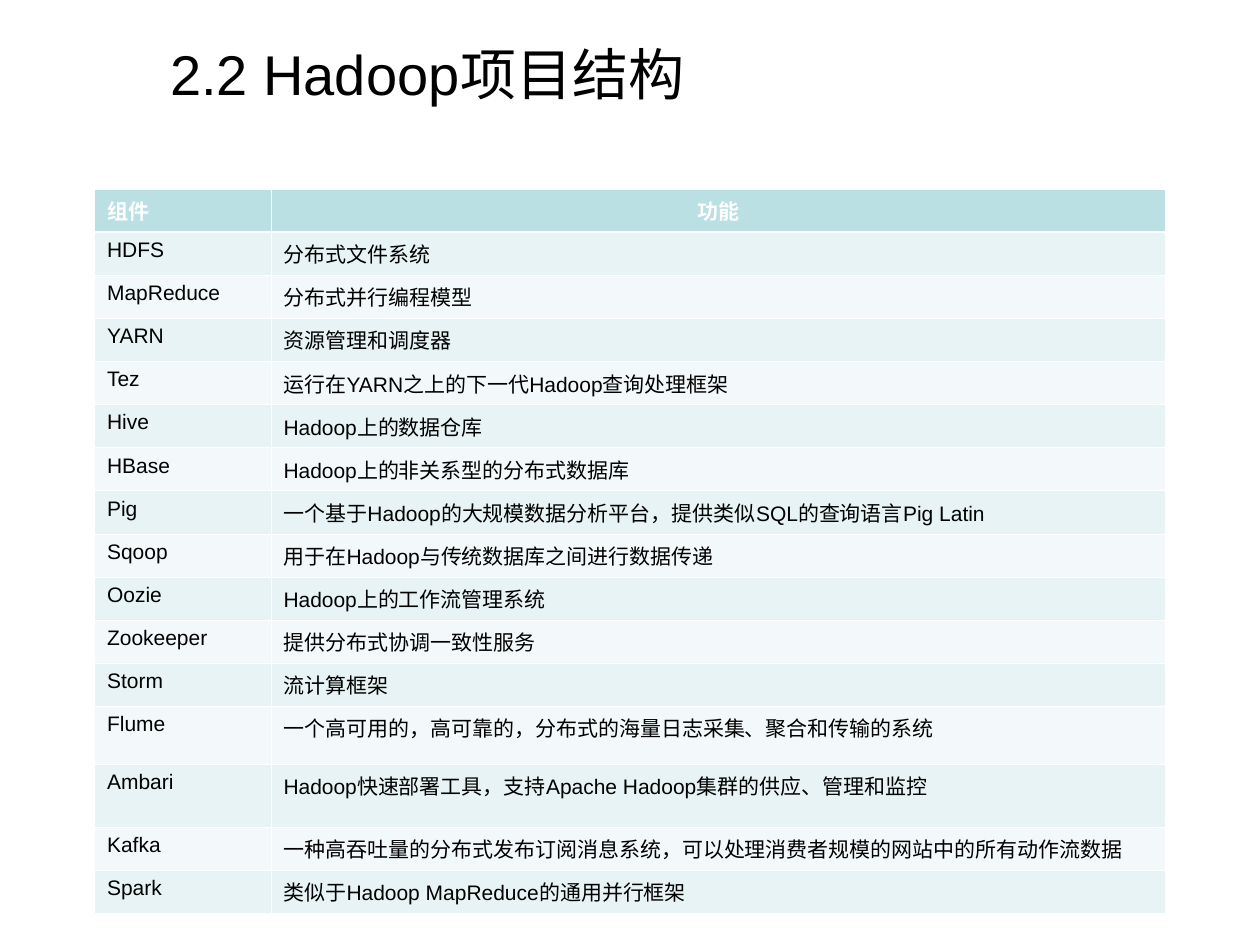
import pptx
import pptx.util
import pptx.dml.color
import pptx.enum.text
import pptx.oxml.ns
import lxml.etree

Inches = pptx.util.Inches
Align = pptx.enum.text.PP_ALIGN
Anchor = pptx.enum.text.MSO_ANCHOR

HUES = {"ink": "000000", "white": "FFFFFF", "head": "BBE0E3",
        "odd": "E7F3F4", "even": "F3F9FA"}
FONT = "Arial"
THIN, THICK = 0.45, 1.47

ROWS = [
    ("组件", "功能"),
    ("HDFS", "分布式文件系统"),
    ("MapReduce", "分布式并行编程模型"),
    ("YARN", "资源管理和调度器"),
    ("Tez", "运行在YARN之上的下一代Hadoop查询处理框架"),
    ("Hive", "Hadoop上的数据仓库"),
    ("HBase", "Hadoop上的非关系型的分布式数据库"),
    ("Pig", "一个基于Hadoop的大规模数据分析平台，提供类似SQL的查询语言Pig Latin"),
    ("Sqoop", "用于在Hadoop与传统数据库之间进行数据传递"),
    ("Oozie", "Hadoop上的工作流管理系统"),
    ("Zookeeper", "提供分布式协调一致性服务"),
    ("Storm", "流计算框架"),
    ("Flume", "一个高可用的，高可靠的，分布式的海量日志采集、聚合和传输的系统"),
    ("Ambari", "Hadoop快速部署工具，支持Apache Hadoop集群的供应、管理和监控"),
    ("Kafka", "一种高吞吐量的分布式发布订阅消息系统，可以处理消费者规模的网站中的所有动作流数据"),
    ("Spark", "类似于Hadoop MapReduce的通用并行框架"),
]
WIDTHS = (1.4, 7.1)
HIGH = 0.3
TALL = {"Flume": 0.46, "Ambari": 0.5}


def color(name):
    return pptx.dml.color.RGBColor.from_string(HUES[name])


def write(frame, text, size=12, hue="ink", bold=False, align=Align.LEFT):
    para = frame.paragraphs[0]
    para.alignment = align
    run = para.add_run()
    run.text = text
    run.font.name = FONT
    run.font.size = pptx.util.Pt(size)
    run.font.bold = bold
    run.font.color.rgb = color(hue)


class Deck:
    def __init__(self):
        self.show = pptx.Presentation()
        self.show.slide_width = Inches(10)
        self.show.slide_height = Inches(7.5)
        self.slide = self.show.slides.add_slide(self.show.slide_layouts[5])

    def title(self, text, left, top, width, height):
        box = self.slide.shapes.title
        box.left, box.top = Inches(left), Inches(top)
        box.width, box.height = Inches(width), Inches(height)
        box.text_frame.vertical_anchor = Anchor.MIDDLE
        write(box.text_frame, text, size=32)

    def edge(self, cell, side, width):
        qn = pptx.oxml.ns.qn
        props = cell._tc.get_or_add_tcPr()
        line = lxml.etree.SubElement(props, qn("a:ln" + side),
                                     w=str(pptx.util.Pt(width)))
        fill = lxml.etree.SubElement(line, qn("a:solidFill"))
        lxml.etree.SubElement(fill, qn("a:srgbClr"), val=HUES["white"])

    def cell(self, cell, text, row, col):
        head = row == 0
        edges = {"L": THIN, "R": THIN,
                 "T": THICK if row == 1 else THIN,
                 "B": THICK if head else THIN}
        for side, width in edges.items():
            self.edge(cell, side, width)
        cell.fill.solid()
        cell.fill.fore_color.rgb = color(
            "head" if head else "odd" if row % 2 else "even")
        write(cell.text_frame, text, hue="white" if head else "ink", bold=head,
              align=Align.CENTER if head and col else Align.LEFT)

    def table(self, rows, left, top):
        highs = [TALL.get(row[0], HIGH) for row in rows]
        table = self.slide.shapes.add_table(
            len(rows), len(WIDTHS), Inches(left), Inches(top),
            Inches(sum(WIDTHS)), Inches(sum(highs))).table
        for col, width in zip(table.columns, WIDTHS):
            col.width = Inches(width)
        for r, (texts, high) in enumerate(zip(rows, highs)):
            table.rows[r].height = Inches(high)
            for c, text in enumerate(texts):
                self.cell(table.cell(r, c), text, r, c)


def main():
    deck = Deck()
    deck.title("2.2 Hadoop项目结构", 1.25, 0.08, 8.75, 1)
    deck.table(ROWS, 0.75, 1.5)
    deck.show.save("out.pptx")


if __name__ == "__main__":
    main()
